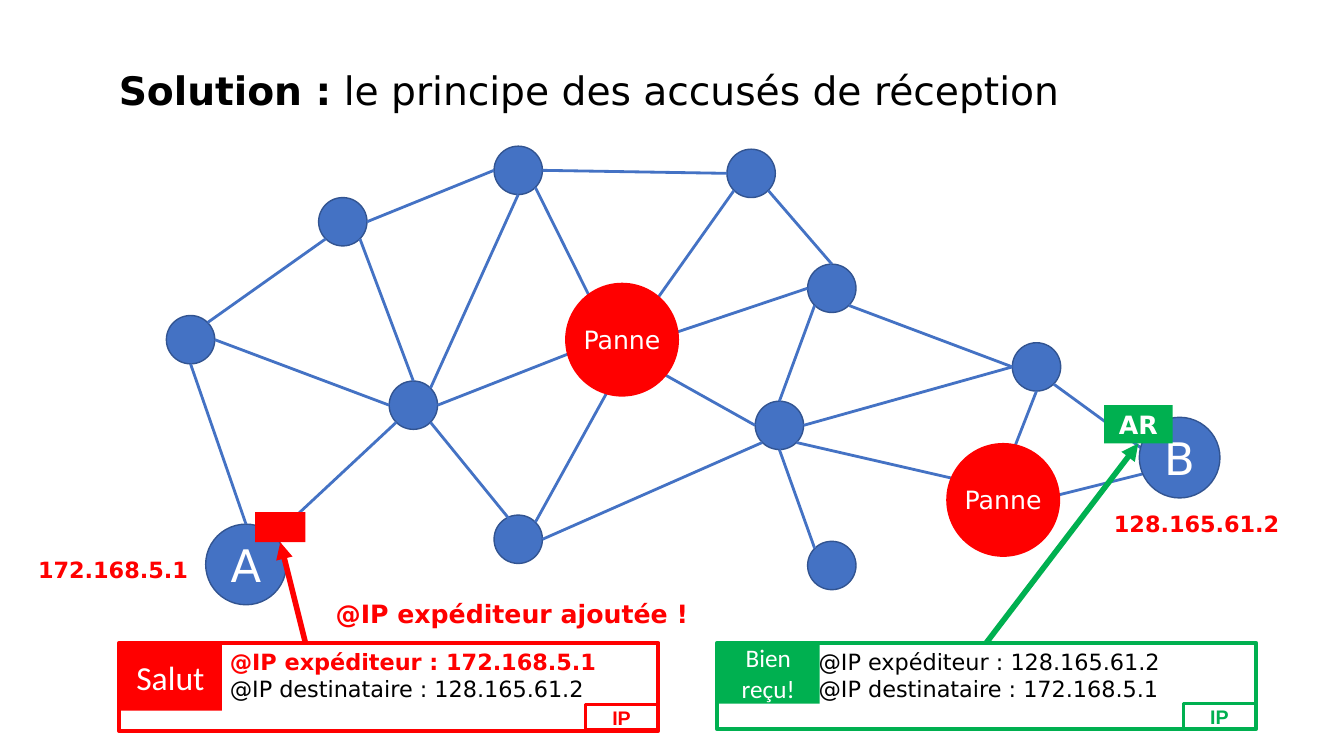
from pptx import Presentation
from pptx.dml.color import RGBColor
from pptx.enum.shapes import MSO_CONNECTOR, MSO_SHAPE
from pptx.enum.text import MSO_ANCHOR, PP_ALIGN
from pptx.oxml.ns import qn
from pptx.util import Inches, Pt
from lxml.etree import SubElement

COLORS = {"blue": "4472C4", "navy": "325491", "red": "FF0000",
          "green": "00B050", "white": "FFFFFF", "black": "000000"}
FONT = "DejaVu Sans"
ROUTER_R = 0.24

# Network nodes: centre x, centre y, radius
ROUTERS = {
    "R1": (1.89, 3.37), "R2": (3.4, 2.2), "R3": (4.1, 4.02),
    "R4": (5.14, 1.69), "R5": (5.14, 5.35), "R6": (7.45, 1.72),
    "R7": (7.73, 4.22), "R8": (8.25, 2.86), "R9": (10.28, 3.64),
    "R10": (8.25, 5.61),
}
FAILED = {"P1": (6.16, 3.4), "P2": (9.94, 4.99)}
HOSTS = {"A": (2.44, 5.6, 0.4), "B": (11.7, 4.54, 0.4)}
NODES = {k: (*c, ROUTER_R) for k, c in {**ROUTERS, **FAILED}.items()} | HOSTS

# Each link joins two compass points on the rims of two nodes
LINKS = """R1 ne R2 sw, A n R1 s, A ne R3 sw, R3 ne R4 s, R3 n R2 se,
R3 e P1 w, P1 ne R6 sw, P1 s R5 ne, P1 se R7 w, R7 n R8 sw, P1 e R8 w,
R8 n R6 se, R8 se R9 w, R7 se P2 nw, R7 s R10 nw, R9 s P2 n, P1 nw R4 se,
R4 e R6 w, R5 e R7 sw, R1 e R3 w, R7 e R9 w, R2 e R4 w"""
# Links that stop at a free point inside a node
OPEN_LINKS = [("R3", "se", (5.19, 5.32)), ("R9", "se", (11.34, 4.46)),
              ("P2", "e", (11.34, 4.7))]


def rim(node, side):
    """Return the point of a node's rim in a compass direction."""
    x, y, radius = NODES[node]
    step = radius * (0.71 if len(side) == 2 else 1)
    return (x + step * (("e" in side) - ("w" in side)),
            y + step * (("s" in side) - ("n" in side)))


def rgb(name):
    """Return the named colour."""
    return RGBColor.from_string(COLORS[name])


class Board:
    """Holds the style and the current slide."""

    def __init__(self, slide):
        """Keep the slide's shapes."""
        self.shapes = slide.shapes

    def shape(self, kind, at, fill=None, line=None, width=1):
        """Add a preset shape with an optional fill and outline."""
        sp = self.shapes.add_shape(kind, *map(Inches, at))
        sp.shadow.inherit = False
        if fill:
            sp.fill.solid()
            sp.fill.fore_color.rgb = rgb(fill)
        else:
            sp.fill.background()
        if line:
            sp.line.color.rgb = rgb(line)
            sp.line.width = Pt(width)
        else:
            sp.line.fill.background()
        return sp

    def rect(self, at, fill=None, line=None, width=1):
        """Add a rectangle."""
        return self.shape(MSO_SHAPE.RECTANGLE, at, fill, line, width)

    def circle(self, x, y, radius, fill="blue", line="navy"):
        """Add a circle around a centre."""
        at = (x - radius, y - radius, 2 * radius, 2 * radius)
        return self.shape(MSO_SHAPE.OVAL, at, fill, line)

    def put_text(self, sp, text, size, color="white", bold=False, font=FONT,
                 align=PP_ALIGN.CENTER, anchor=MSO_ANCHOR.MIDDLE):
        """Put uniformly styled text in a shape."""
        tf = sp.text_frame
        tf.text = text
        tf.word_wrap = True
        tf.vertical_anchor = anchor
        for p in tf.paragraphs:
            p.alignment = align
            for r in p.runs:
                r.font.name, r.font.size, r.font.bold = font, Pt(size), bold
                r.font.color.rgb = rgb(color)
        return tf

    def label(self, at, text, size, color="red", anchor=MSO_ANCHOR.TOP):
        """Add a bold left-aligned text box."""
        sp = self.shapes.add_textbox(*map(Inches, at))
        return self.put_text(sp, text, size, color, True,
                             align=PP_ALIGN.LEFT, anchor=anchor)

    def line(self, start, end, color="blue", width=2, arrow=False):
        """Add a straight connector, with an arrowhead if wanted."""
        cx = self.shapes.add_connector(
            MSO_CONNECTOR.STRAIGHT, *map(Inches, (*start, *end)))
        cx.line.color.rgb = rgb(color)
        cx.line.width = Pt(width)
        props = cx._element.spPr
        if arrow:
            SubElement(props.find(qn("a:ln")), qn("a:tailEnd"), type="triangle")
        SubElement(props, qn("a:effectLst"))

    def packet(self, at, text, color, text_color, bold, margin):
        """Add the outlined IP packet with its address lines."""
        sp = self.rect(at, line=color, width=3)
        tf = self.put_text(sp, text, 16, text_color, bold,
                           align=PP_ALIGN.LEFT, anchor=MSO_ANCHOR.TOP)
        tf.margin_left = Inches(margin)
        return tf

    def tag(self, at, color):
        """Add the small IP tag in a packet's corner."""
        sp = self.rect(at, line=color, width=2.25)
        self.put_text(sp, "IP", 14, color, True, "Arial")


def draw_network(board):
    """Draw routers, hosts, links and failed nodes."""
    for centre in ROUTERS.values():
        board.circle(*centre, ROUTER_R)
    board.put_text(board.circle(*HOSTS["A"]), "A", 32)
    for link in LINKS.split(","):
        a, a_side, b, b_side = link.split()
        board.line(rim(a, a_side), rim(b, b_side))
    for node, side, end in OPEN_LINKS:
        board.line(rim(node, side), end)
    board.put_text(board.circle(*HOSTS["B"]), "B", 32)
    for x, y in FAILED.values():
        sp = board.circle(x + 0.01, y - 0.03, 0.565, "red", None)
        tf = board.put_text(sp, "Panne", 18)
        tf.margin_left = tf.margin_right = 0
        tf.margin_top = tf.margin_bottom = 0


def draw_messages(board):
    """Draw the message, its acknowledgement and their arrows."""
    board.rect((2.53, 5.08, 0.5, 0.3), "red")
    tf = board.packet((1.18, 6.38, 5.35, 0.87),
                      "@IP expéditeur : 172.168.5.1\n@IP destinataire : 128.165.61.2",
                      "red", "red", True, 1.1)
    r = tf.paragraphs[1].runs[0]
    r.font.bold = False
    r.font.color.rgb = rgb("black")
    board.put_text(board.rect((1.18, 6.39, 1.02, 0.66), "red"), "Salut", 24,
                   font="Calibri")
    board.put_text(board.rect((10.95, 4.02, 0.68, 0.38), "green"), "AR", 18,
                   bold=True)
    board.packet((7.11, 6.38, 5.35, 0.85),
                 "@IP expéditeur : 128.165.61.2\n@IP destinataire : 172.168.5.1",
                 "green", "black", False, 1.01)
    board.put_text(board.rect((7.11, 6.37, 1.02, 0.61), "green"), "Bien reçu!",
                   18, font="Calibri")
    board.line((3.03, 6.38), (2.78, 5.38), "red", 4, True)
    board.line((9.78, 6.38), (11.29, 4.4), "green", 4, True)
    board.tag((5.81, 6.99, 0.71, 0.25), "red")
    board.tag((11.74, 6.98, 0.71, 0.25), "green")


def draw_labels(board):
    """Add the title, the addresses and the remark."""
    tf = board.label((1.08, 0.57, 11.5, 0.7), "Solution :", 28, "black",
                     MSO_ANCHOR.MIDDLE)
    p = tf.paragraphs[0]
    p.line_spacing = 0.9
    r = p.add_run()
    r.text = " le principe des accusés de réception"
    r.font.name, r.font.size, r.font.bold = FONT, Pt(28), False
    r.font.color.rgb = rgb("black")
    board.label((10.95, 5.01, 2.08, 0.37), "128.165.61.2", 16)
    board.label((0.28, 5.47, 1.81, 0.37), "172.168.5.1", 16)
    tf = board.label((3.23, 5.89, 3.74, 0.4), "@IP expéditeur ajoutée !", 18)
    tf.word_wrap = False


prs = Presentation()
prs.slide_width, prs.slide_height = Inches(13.33), Inches(7.5)
s = prs.slides.add_slide(prs.slide_layouts[6])
board = Board(s)
draw_network(board)
draw_labels(board)
draw_messages(board)
prs.save("out.pptx")
